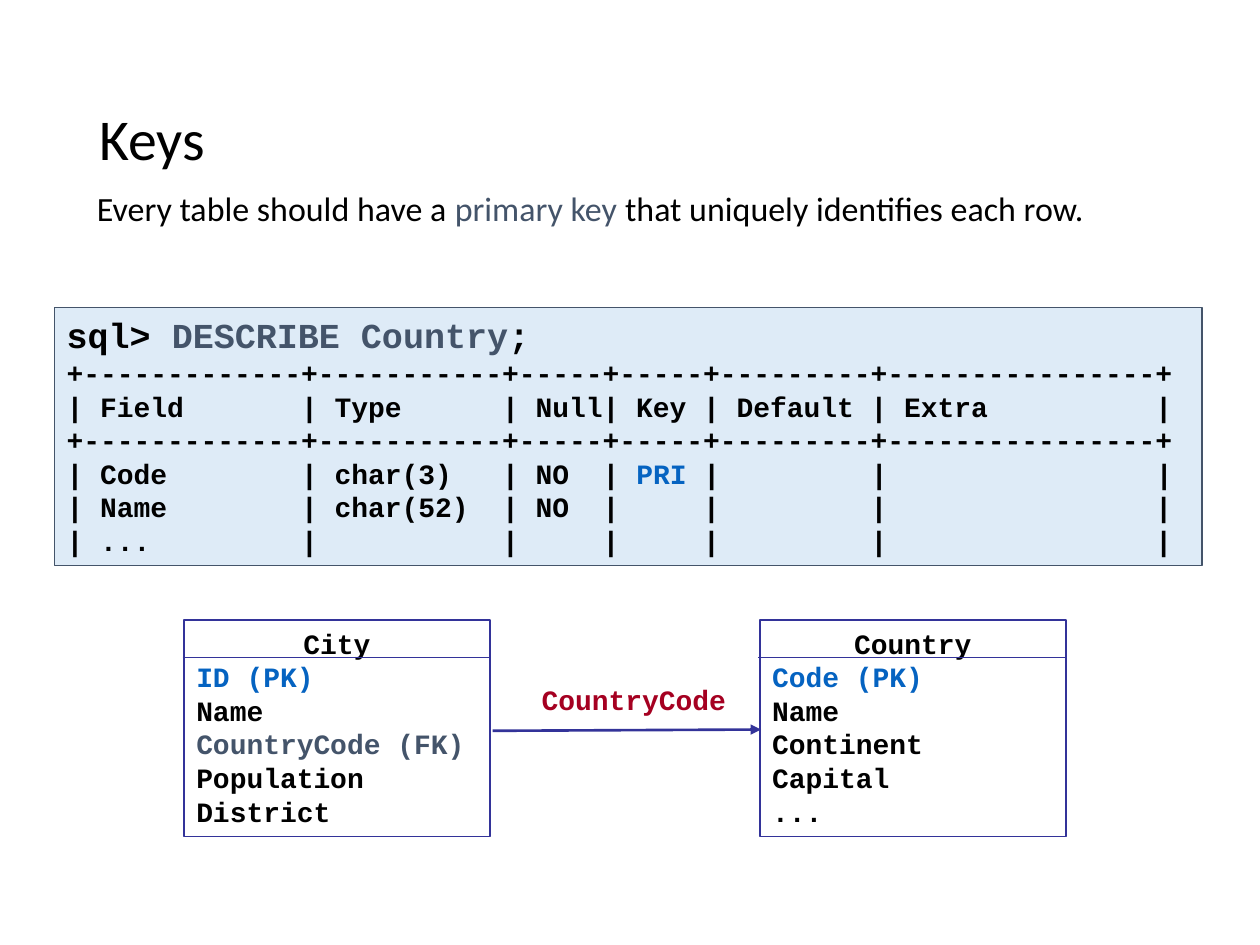
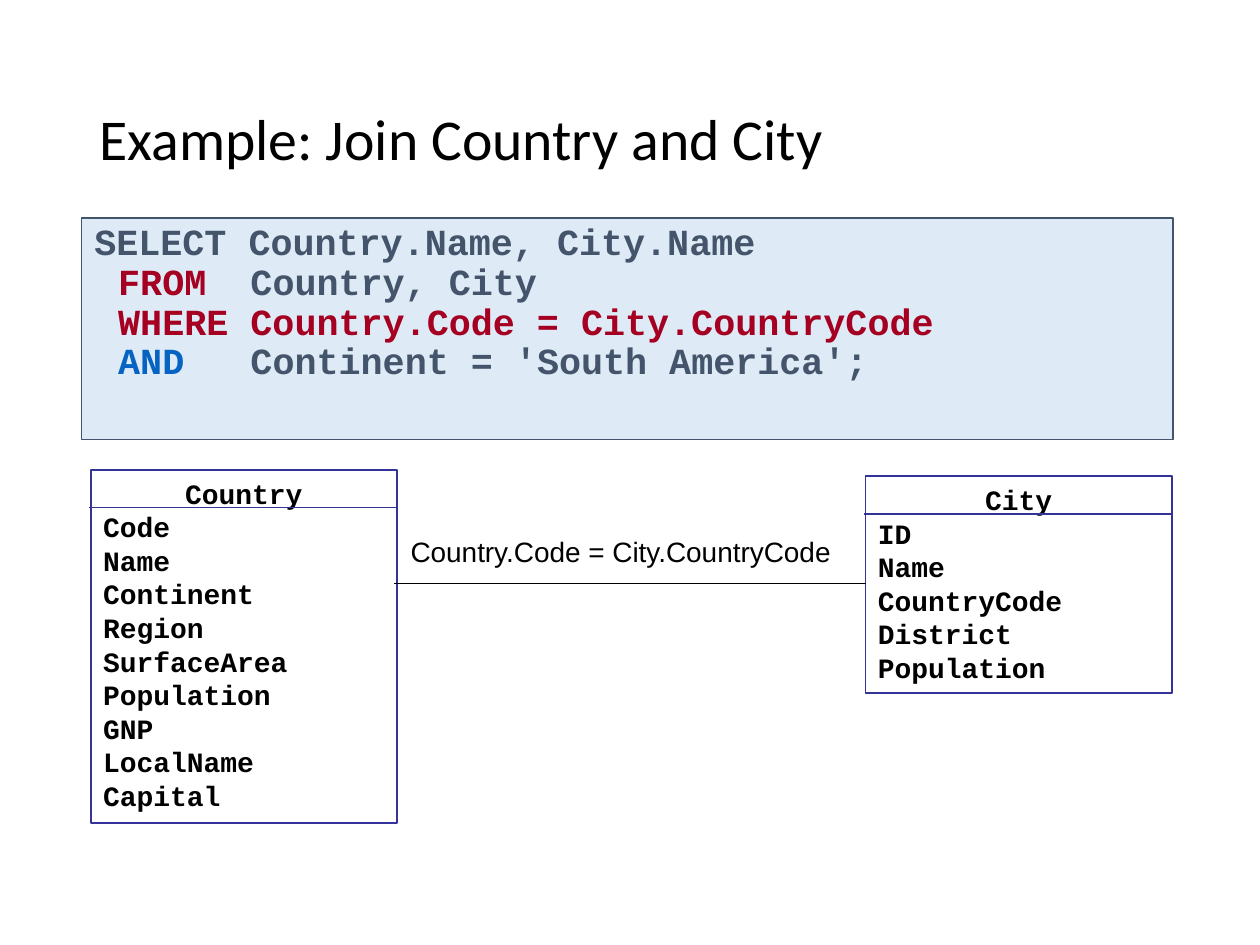
"""Build two slides on database keys and joining the Country and City tables."""
import dataclasses

import lxml.etree
import pptx
import pptx.dml.color
import pptx.enum.shapes
import pptx.enum.text
import pptx.oxml.ns
import pptx.util

Inches = pptx.util.Inches
Align = pptx.enum.text.PP_ALIGN
Anchor = pptx.enum.text.MSO_ANCHOR


@dataclasses.dataclass(frozen=True)
class Theme:
    black: str = "000000"
    slate: str = "44546A"
    blue: str = "0563C1"
    red: str = "A50021"
    navy: str = "333399"
    panel: str = "DEEBF7"
    text_font: str = "Calibri"
    code_font: str = "Courier New"
    label_font: str = "Arial"
    title_size: float = 33
    body_size: float = 19.4
    query_size: float = 21
    prompt_size: float = 20
    code_size: float = 16


theme = Theme()
TITLE_BOX = (0.69, 0.4, 8.62, 1.45)
TABLE_WIDTH, ROW_HEIGHT, TABLE_PADDING = 2.43, 0.27, 0.1
HEADER_HEIGHT, DIVIDER_OVERHANG = 0.3, 0.01

KEYS_SENTENCE = [[
    ("Every table should have a ", theme.black),
    ("primary key", theme.slate),
    (" that uniquely identifies each row.", theme.black),
]]
RULE = "+-------------+-----------+-----+-----+---------+----------------+"
DESCRIBE_OUTPUT = [
    [("sql> ", theme.black), ("DESCRIBE Country", theme.slate), (";", theme.black)],
    [(RULE, theme.black)],
    [("| Field       | Type      | Null| Key | Default | Extra          |", theme.black)],
    [(RULE, theme.black)],
    [("| Code        | char(3)   | NO  | ", theme.black), ("PRI", theme.blue),
     (" |         |                |", theme.black)],
    [("| Name        | char(52)  | NO  |     |         |                |", theme.black)],
    [("| ...         |           |     |     |         |                |", theme.black)],
]
JOIN_QUERY = [
    [("SELECT Country.Name, City.Name", theme.slate)],
    [("FROM", theme.red), ("  Country, City", theme.slate)],
    [("WHERE Country.Code = City.CountryCode", theme.red)],
    [("AND", theme.blue), ("   Continent = 'South America';", theme.slate)],
]
KEY_TABLES = [
    (1.46, 4.92, "City", ["ID (PK)", "Name", "CountryCode (FK)", "Population", "District"]),
    (6.03, 4.92, "Country", ["Code (PK)", "Name", "Continent", "Capital", "..."]),
]
JOIN_TABLES = [
    (0.72, 3.73, "Country", ["Code", "Name", "Continent", "Region", "SurfaceArea",
                             "Population", "GNP", "LocalName", "Capital"]),
    (6.87, 3.78, "City", ["ID", "Name", "CountryCode", "District", "Population"]),
]


def rgb(color):
    return pptx.dml.color.RGBColor.from_string(color)


def write(shape, lines, font, size, bold=False, align=Align.LEFT, spacing=None,
          anchor=Anchor.TOP, wrap=True):
    frame = shape.text_frame
    frame.word_wrap = wrap
    frame.vertical_anchor = anchor
    frame.text = "\n".join("" for _ in lines)
    for paragraph, runs in zip(frame.paragraphs, lines):
        paragraph.alignment = align
        if spacing:
            paragraph.line_spacing = spacing
        for text, color in runs:
            run = paragraph.add_run()
            run.text = text
            run.font.name, run.font.size, run.font.bold = font, pptx.util.Pt(size), bold
            run.font.color.rgb = rgb(color)
    return frame.paragraphs


def add_text(slide, box, lines, font, size, **style):
    shape = slide.shapes.add_textbox(*map(Inches, box))
    write(shape, lines, font, size, **style)


def add_box(slide, box, line_color, line_width, fill=None):
    shape = slide.shapes.add_shape(pptx.enum.shapes.MSO_SHAPE.RECTANGLE, *map(Inches, box))
    shape.shadow.inherit = False
    if fill:
        shape.fill.solid()
        shape.fill.fore_color.rgb = rgb(fill)
    else:
        shape.fill.background()
    shape.line.color.rgb = rgb(line_color)
    shape.line.width = pptx.util.Pt(line_width)
    return shape


def add_line(slide, start, end, color, width=0.75, arrow=False):
    connector = slide.shapes.add_connector(
        pptx.enum.shapes.MSO_CONNECTOR.STRAIGHT, *map(Inches, start + end))
    connector.line.color.rgb = rgb(color)
    connector.line.width = pptx.util.Pt(width)
    qn = pptx.oxml.ns.qn
    if arrow:
        lxml.etree.SubElement(connector.line._get_or_add_ln(), qn("a:tailEnd"), type="triangle")
    lxml.etree.SubElement(connector._element.spPr, qn("a:effectLst"))


def add_entity(slide, left, top, name, fields):
    height = TABLE_PADDING + ROW_HEIGHT * (1 + len(fields))
    shape = add_box(slide, (left, top, TABLE_WIDTH, height), theme.navy, 1)
    key_colors = {"(PK)": theme.blue, "(FK)": theme.slate}
    lines = [[(text, key_colors.get(text[-4:], theme.black))] for text in [name] + fields]
    paragraphs = write(shape, lines, theme.code_font, theme.code_size, bold=True)
    paragraphs[0].alignment = Align.CENTER
    divider = top + HEADER_HEIGHT
    add_line(slide, (left - DIVIDER_OVERHANG, divider), (left + TABLE_WIDTH, divider), theme.navy)


def add_slide(presentation, title, tables):
    slide = presentation.slides.add_slide(presentation.slide_layouts[6])
    add_text(slide, TITLE_BOX, [[(title, theme.black)]], theme.text_font, theme.title_size,
             spacing=0.9, anchor=Anchor.MIDDLE)
    for table in tables:
        add_entity(slide, *table)
    return slide


def build_keys(presentation):
    slide = add_slide(presentation, "Keys", KEY_TABLES)
    add_text(slide, (0.67, 1.53, 8.66, 0.6), KEYS_SENTENCE, theme.text_font, theme.body_size,
             spacing=0.7)
    add_line(slide, (3.91, 5.8), (6.04, 5.79), theme.navy, 1.5, arrow=True)
    add_text(slide, (4, 5.37, 1.86, 0.37), [[("CountryCode", theme.red)]], theme.code_font,
             theme.code_size, bold=True, align=Align.RIGHT)
    panel = add_box(slide, (0.43, 2.44, 9.11, 2.05), theme.slate, 0.75, theme.panel)
    paragraphs = write(panel, DESCRIBE_OUTPUT, theme.code_font, theme.code_size, bold=True)
    for run in paragraphs[0].runs:
        run.font.size = pptx.util.Pt(theme.prompt_size)


def build_join(presentation):
    slide = add_slide(presentation, "Example: Join Country and City", JOIN_TABLES)
    panel = add_box(slide, (0.65, 1.73, 8.66, 1.76), theme.slate, 0.75, theme.panel)
    paragraphs = write(panel, JOIN_QUERY, theme.code_font, theme.query_size, bold=True,
                       spacing=0.9)
    for paragraph in paragraphs[1:]:
        paragraph._p.get_or_add_pPr().set("marL", str(Inches(0.19)))
    add_line(slide, (3.13, 4.63), (6.87, 4.63), theme.black)
    add_text(slide, (3.16, 4.19, 3.58, 0.37),
             [[("Country.Code = City.CountryCode", theme.black)]],
             theme.label_font, theme.code_size, wrap=False)


def main():
    presentation = pptx.Presentation()
    presentation.slide_width, presentation.slide_height = Inches(10), Inches(7.5)
    build_keys(presentation)
    build_join(presentation)
    presentation.save("out.pptx")


if __name__ == "__main__":
    main()
